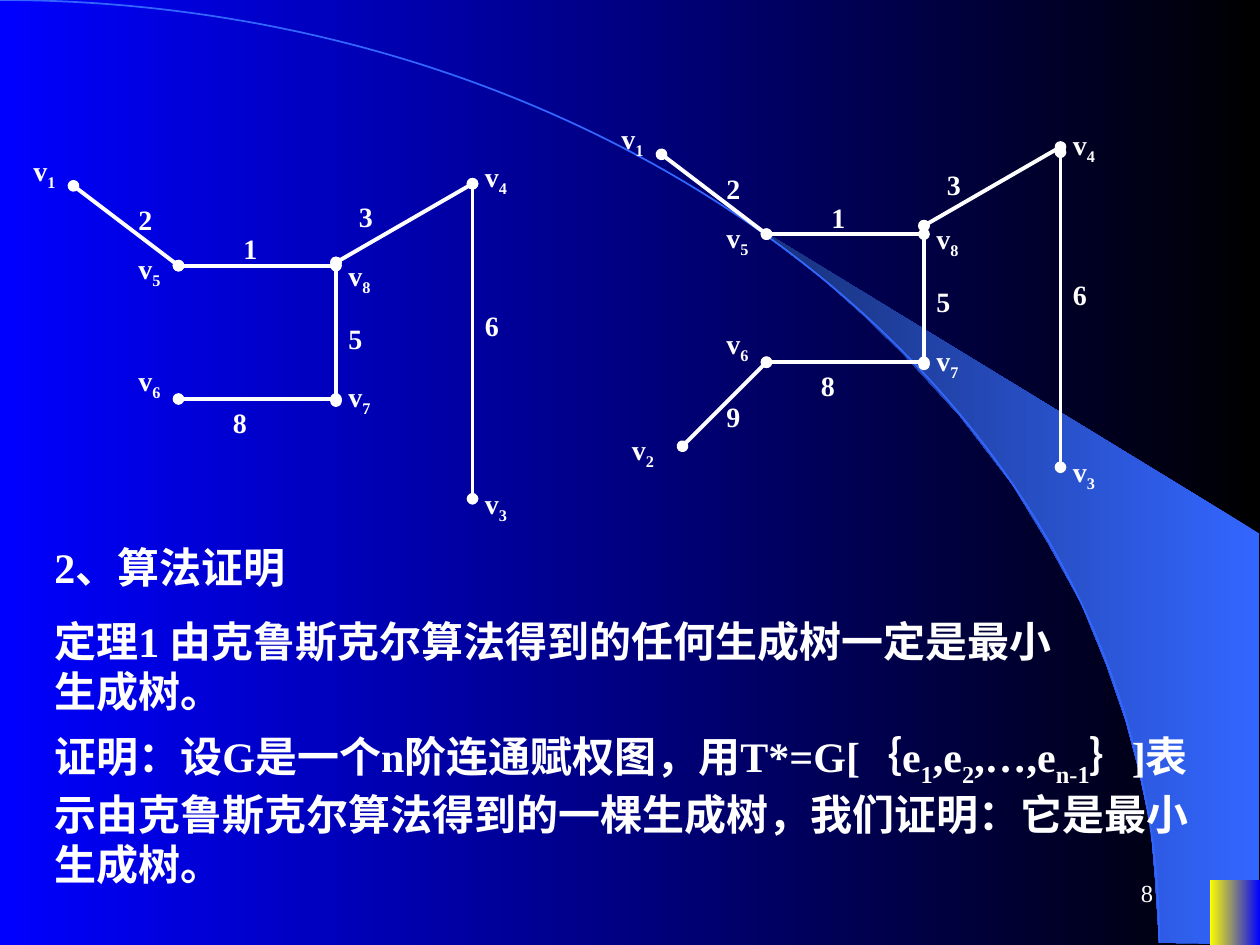
from lxml import etree
from pptx import Presentation
from pptx.dml.color import RGBColor
from pptx.enum.shapes import MSO_CONNECTOR, MSO_SHAPE
from pptx.enum.text import MSO_ANCHOR, PP_ALIGN
from pptx.oxml.ns import qn
from pptx.util import Inches, Pt

LINE = MSO_CONNECTOR.STRAIGHT
RECT, ARC = MSO_SHAPE.RECTANGLE, MSO_SHAPE.ARC
RIGHT, MIDDLE = PP_ALIGN.RIGHT, MSO_ANCHOR.MIDDLE
WHITE = RGBColor(0xFF, 0xFF, 0xFF)
BLACK = RGBColor(0, 0, 0)
BLUE = RGBColor(0, 0, 0xFF)
YELLOW = RGBColor(0xFF, 0xFF, 0)
SKY = RGBColor(0x33, 0x66, 0xFF)
NAVY = RGBColor(0x17, 0x2F, 0x75)

deck = Presentation()
deck.slide_width, deck.slide_height = Inches(10), Inches(7.5)
COL = deck.slide_width / 120
ROW = deck.slide_height / 90
slide = deck.slides.add_slide(deck.slide_layouts[6])
shapes = slide.shapes


def shade(fill, start, end):
    """Fill with a gradient that runs from right to left."""
    fill.gradient()
    fill.gradient_angle = 180
    for stop, color in zip(fill.gradient_stops, (start, end)):
        stop.color.rgb = color


def write(home, text, x, y, w, h, size, bold=True):
    """Add a text box; every second part between underscores is a subscript."""
    box = home.add_textbox(int(x * COL), int(y * ROW), int(w * COL), int(h * ROW))
    frame = box.text_frame
    frame.word_wrap = True
    for i, part in enumerate(text.split("_")):
        if not part:
            continue
        run = frame.paragraphs[0].add_run()
        run.text = part
        font = run.font
        font.name, font.size, font.bold = "Times New Roman", Pt(size), bold
        font.color.rgb = WHITE
        if i % 2:
            run._r.get_or_add_rPr().set("baseline", "-25000")
    return frame


# Backdrop: gradient, light beam, arc and corner block
shade(slide.background.fill, BLACK, BLUE)

BEAM = [(110.4, 89.8), (119.9, 89.9), (119.9, 50.8), (70.7, 20.8), (74.9, 23.9),
        (78.4, 26.6), (82.2, 30), (85.9, 33.6), (91.4, 39.6), (96.4, 46.1),
        (99.8, 51.7), (103, 57.5), (105.4, 63.4), (107.2, 68.6), (108.4, 73.1),
        (109.6, 78.7), (110, 83.5)]
points = [(int(x * COL), int(y * ROW)) for x, y in BEAM]
path = shapes.build_freeform(*points[0])
path.add_line_segments(points[1:], close=True)
beam = path.convert_to_shape()
beam.shadow.inherit = False
beam.line.fill.background()
shade(beam.fill, SKY, NAVY)

arc = shapes.add_shape(ARC, int(-110.4 * COL), 0, int(220.8 * COL), int(179.6 * ROW))
arc.shadow.inherit = False
arc.fill.background()
arc.line.color.rgb = SKY
arc.line.width = Pt(1)

block = shapes.add_shape(RECT, int(115.2 * COL), int(83.8 * ROW),
                         int(4.8 * COL), int(6.2 * ROW))
block.shadow.inherit = False
block.line.fill.background()
shade(block.fill, BLUE, YELLOW)

# Both trees share one layout; the last number is the lift of the second tree
LABELS = [("3", 33, 18.4, 3), ("v_7", 32, 35.6, 3.5), ("2", 12, 18.7, 3),
          ("1", 22, 21.5, 3), ("5", 32, 30, 3.5), ("6", 45, 28.8, 3),
          ("v_1", 2, 14, 3), ("v_4", 45, 14.6, 3), ("v_5", 12, 23.4, 3),
          ("v_8", 32, 24, 3.5), ("v_3", 45, 45.7, 3), ("v_6", 12, 34, 3.5),
          ("8", 21, 38, 3.5)]
EDGES = [(17, 25.3, 32, 25.3, 3), (32, 25, 32, 38.2, 3.5), (45, 17.5, 45, 47.5, 3),
         (7, 17.7, 17, 25.3, 3), (45, 17.5, 32, 25, 3.5), (17, 38, 32, 38, 3.5)]
MORE_LABELS = [("v_2", 3, 44.1, 3.5), ("9", 12, 41, 3.5)]
MORE_EDGES = [(17, 38, 9, 46, 3.5)]

TREES = [(0, 0, LABELS, EDGES),
         (56, 1, LABELS + MORE_LABELS, EDGES + MORE_EDGES)]
for shift, raised, labels, edges in TREES:
    tree = shapes.add_group_shape().shapes
    for text, x, y, lift in labels:
        w, h = (6.2, 4.9) if "v" in text else (5.2, 4.4)
        write(tree, text, x + shift, y - lift * raised, w, h, 16)
    for x1, y1, x2, y2, lift in edges:
        up = lift * raised
        edge = tree.add_connector(LINE, int((x1 + shift) * COL), int((y1 - up) * ROW),
                                  int((x2 + shift) * COL), int((y2 - up) * ROW))
        edge.line.color.rgb = WHITE
        edge.line.width = Pt(2.25)
        pen = edge.line._get_or_add_ln()
        for end in ("a:headEnd", "a:tailEnd"):
            etree.SubElement(pen, qn(end), type="oval")
        etree.SubElement(edge._element.spPr, qn("a:effectLst"))

# Theorem and proof
TEXTS = [("2、算法证明", 51, 99, 6),
         ("定理1 由克鲁斯克尔算法得到的任何生成树一定是最小生成树。", 58, 99, 10.8),
         ("证明：设G是一个n阶连通赋权图，用T*=G[｛e_1_,e_2_,…,e_n-1_｝]"
          "表示由克鲁斯克尔算法得到的一棵生成树，我们证明：它是最小生成树。",
          69, 112, 16.9)]
for text, y, w, h in TEXTS:
    write(shapes, text, 4, y, w, h, 24)

page = write(shapes, "8", 86, 82, 25, 6, 14, bold=False)
page.vertical_anchor = MIDDLE
page.paragraphs[0].alignment = RIGHT

deck.save("out.pptx")
